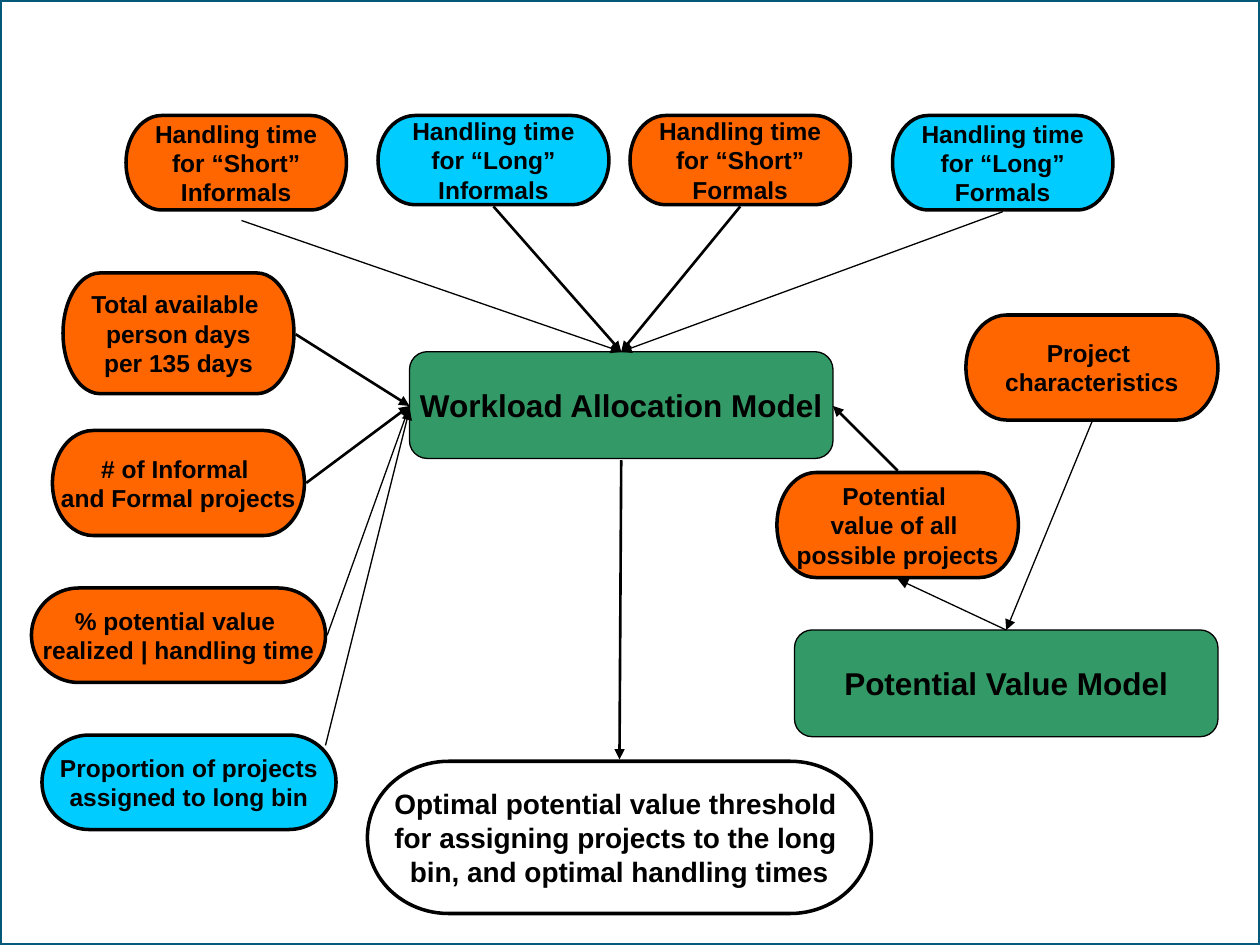
from lxml.etree import SubElement
from pptx import Presentation
from pptx.dml.color import RGBColor
from pptx.enum.shapes import MSO_CONNECTOR, MSO_SHAPE
from pptx.enum.text import MSO_ANCHOR, PP_ALIGN
from pptx.oxml.ns import qn
from pptx.util import Pt

ORANGE, CYAN, GREEN, WHITE, BLACK, TEAL = (
    "FF6600", "00CCFF", "339966", "FFFFFF", "000000", "045978")
PILL = MSO_SHAPE.FLOWCHART_TERMINATOR
MODEL = MSO_SHAPE.FLOWCHART_ALTERNATE_PROCESS
FONT = {"name": "Arial", "bold": True}
FRAME = {"word_wrap": False, "vertical_anchor": MSO_ANCHOR.MIDDLE}


def color(text):
    """Turn a hex string into a colour."""
    return RGBColor.from_string(text)


def style(item, values):
    """Set each attribute of an item from a dict."""
    for name, value in values.items():
        setattr(item, name, value)


def node(slide, kind, box, fill, lines=(), size=14, width=2, edge=BLACK):
    """Draw a filled shape with centred bold lines of text."""
    shape = slide.shapes.add_shape(kind, *map(Pt, box))
    shape.shadow.inherit = False
    shape.fill.solid()
    shape.fill.fore_color.rgb = color(fill)
    shape.line.color.rgb = color(edge)
    shape.line.width = Pt(width)
    frame = shape.text_frame
    style(frame, FRAME)
    for index, line in enumerate(lines):
        para = frame.add_paragraph() if index else frame.paragraphs[0]
        para.alignment = PP_ALIGN.CENTER
        run = para.add_run()
        run.text = line
        style(run.font, FONT | {"size": Pt(size)})
        run.font.color.rgb = color(BLACK)


def arrow(slide, start, end, width=0.75):
    """Draw a line with a triangle at its end."""
    line = slide.shapes.add_connector(
        MSO_CONNECTOR.STRAIGHT, *map(Pt, (*start, *end)))
    line.line.color.rgb = color(BLACK)
    line.line.width = Pt(width)
    SubElement(line.line._get_or_add_ln(), qn("a:tailEnd"), type="triangle")
    SubElement(line._element.spPr, qn("a:effectLst"))


def times(slide, left, top, hub):
    """Place the row of handling times, each leading to the hub."""
    row = [
        ("Short", "Informals", ORANGE, 0, 126, 54, (66, 60), 0.75),
        ("Long", "Informals", CYAN, 144, 132, 51, (210, 52), 1.5),
        ("Short", "Formals", ORANGE, 288, 126, 51, (351, 52), 1.5),
        ("Long", "Formals", CYAN, 438, 126, 54, (501, 55), 0.75),
    ]
    for span, group, fill, x, wide, high, (dx, dy), width in row:
        lines = ["Handling time", f"for “{span}”", group]
        node(slide, PILL, (left + x, top, wide, high), fill, lines)
        arrow(slide, (left + dx, top + dy), hub, width)


def inputs(slide, left, top, hub):
    """Place the column of inputs, each leading to the hub."""
    column = [
        (["Total available ", "person days", "per 135 days"], ORANGE,
         (18, 0, 132, 69), (151, 35), 0, 1.5),
        (["# of Informal ", "and Formal projects"], ORANGE,
         (12, 90, 144, 60), (157, 120), 0, 1.5),
        (["% potential value ", "realized | handling time"], ORANGE,
         (0, 180, 168, 54), (169, 207), 0, 0.75),
        (["Proportion of projects", "assigned to long bin"], CYAN,
         (6, 264, 168, 54), (168, 270), 2, 0.75),
    ]
    for lines, fill, (x, y, wide, high), (dx, dy), drop, width in column:
        node(slide, PILL, (left + x, top + y, wide, high), fill, lines)
        arrow(slide, (left + dx, top + dy), (hub[0], hub[1] + drop), width)


def value(slide, left, top, hub):
    """Place the potential value model, its input and its result."""
    node(slide, PILL, (left + 108, top, 144, 60), ORANGE,
         ["Project ", "characteristics"])
    node(slide, PILL, (left, top + 90, 138, 60), ORANGE,
         ["Potential ", "value of all ", "possible projects"])
    node(slide, MODEL, (left + 10, top + 180, 242, 61), GREEN,
         ["Potential Value Model"], 18, 0.75)
    peak = left + 131, top + 180
    arrow(slide, (left + 180, top + 61), peak)
    arrow(slide, peak, (left + 69, top + 151))
    arrow(slide, (left + 69, top + 89), hub, 1.5)


def core(slide, left, top):
    """Place the workload model and its outcome, and return its ports."""
    node(slide, MODEL, (left + 24, top, 242, 61), GREEN,
         ["Workload Allocation Model"], 18, 0.75)
    node(slide, PILL, (left, top + 234, 288, 87), WHITE,
         ["Optimal potential value threshold ",
          "for assigning projects to the long ",
          "bin, and optimal handling times"], 16)
    arrow(slide, (left + 145, top + 62), (left + 144, top + 233), 1.5)
    return ((left + 145, top), (left + 24, top + 31), (left + 266, top + 31))


def main():
    """Build the slide and save it."""
    deck = Presentation()
    style(deck, {"slide_width": Pt(720), "slide_height": Pt(540)})
    slide = deck.slides.add_slide(deck.slide_layouts[6])
    node(slide, MSO_SHAPE.RECTANGLE, (0, 0, 720, 540), WHITE, edge=TEAL)
    above, west, east = core(slide, 210, 201)
    times(slide, 72, 66, above)
    inputs(slide, 18, 156, west)
    value(slide, 444, 180, east)
    deck.save("out.pptx")


if __name__ == "__main__":
    main()
